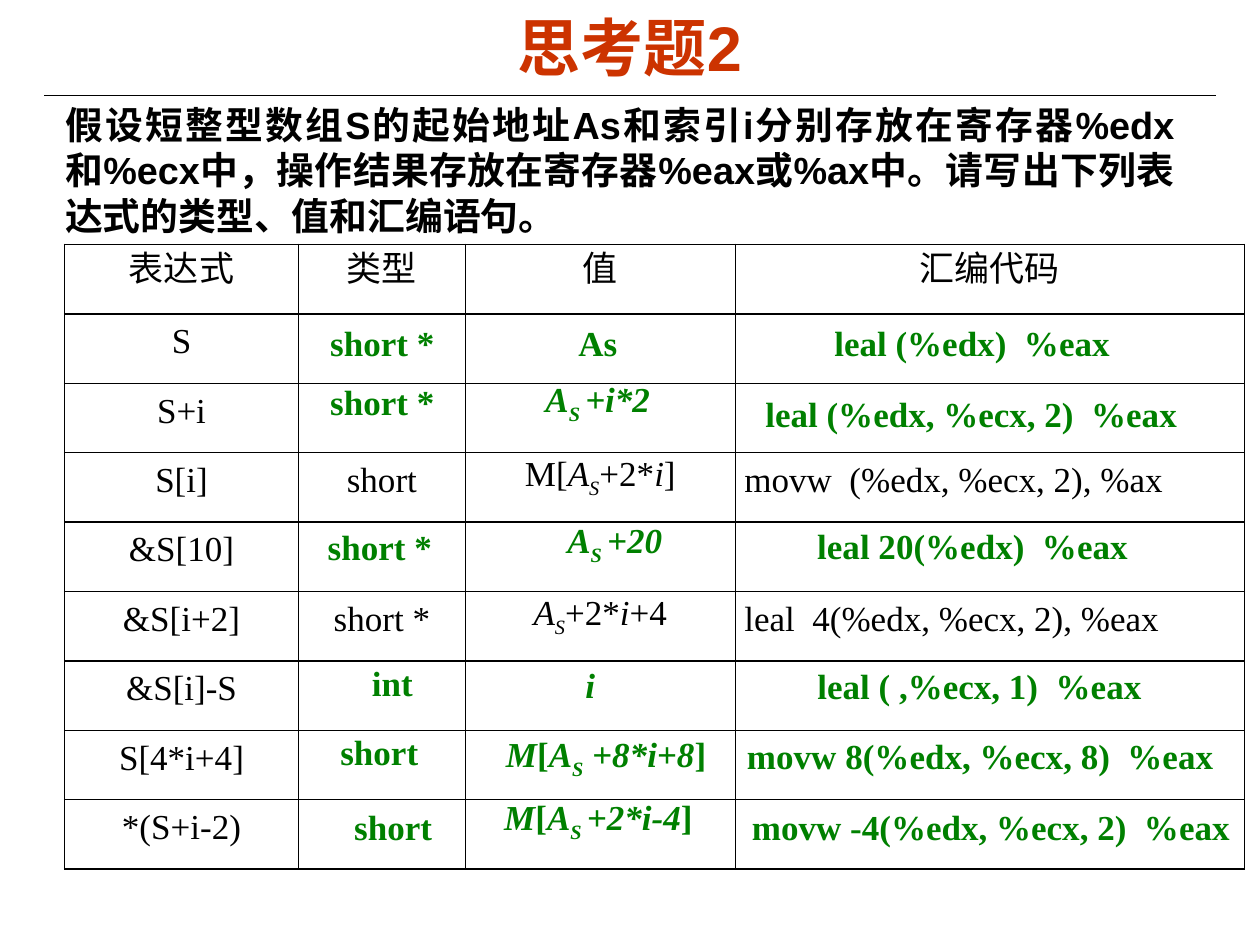
from lxml.etree import SubElement
from pptx import Presentation
from pptx.dml.color import RGBColor
from pptx.enum.shapes import MSO_CONNECTOR
from pptx.enum.text import MSO_ANCHOR, PP_ALIGN
from pptx.oxml.ns import qn
from pptx.util import Pt

INK = {"text": "000000", "title": "CC3300", "answer": "008000"}
ROMAN = "Times New Roman"


def write(frame, text, size=20, font=ROMAN, color="text", bold=False,
          align=PP_ALIGN.CENTER, pitch=15.6):
    para = frame.paragraphs[0]
    para.alignment = align
    if pitch:
        para.line_spacing = Pt(pitch)
    slant = False
    for n, part in enumerate(text.split("_")):
        low = n % 2 == 1
        for m, piece in enumerate(part.split("~")):
            if m:
                slant = not slant
            if not piece:
                continue
            run = para.add_run()
            run.text = piece
            run.font.size = Pt(size)
            run.font.name = font
            run.font.bold = bold
            run.font.italic = slant
            run.font.color.rgb = RGBColor.from_string(INK[color])
            if low:
                run.font._element.set("baseline", "-25000")


class Page:
    def __init__(self, slide):
        self.slide = slide

    def line(self, x1, y1, x2, y2, width=0.75):
        line = self.slide.shapes.add_connector(
            MSO_CONNECTOR.STRAIGHT, Pt(x1), Pt(y1), Pt(x2), Pt(y2))
        line.line.width = Pt(width)
        line.line.color.rgb = RGBColor.from_string(INK["text"])
        SubElement(line._element.spPr, qn("a:effectLst"))

    def text(self, x, y, w, h, text, wrap=True, anchor=MSO_ANCHOR.TOP, **form):
        frame = self.slide.shapes.add_textbox(Pt(x), Pt(y), Pt(w), Pt(h)).text_frame
        frame.word_wrap = wrap
        frame.vertical_anchor = anchor
        write(frame, text, **form)

    def border(self, cell):
        props = cell._tc.get_or_add_tcPr()
        for n, side in enumerate(("lnL", "lnR", "lnT", "lnB")):
            edge = props.makeelement(qn("a:" + side), {"w": str(Pt(1))})
            fill = SubElement(edge, qn("a:solidFill"))
            SubElement(fill, qn("a:srgbClr"), val=INK["text"])
            props.insert(n, edge)

    def table(self, x, y, cols, high, rows):
        table = self.slide.shapes.add_table(
            len(rows), len(cols), Pt(x), Pt(y), Pt(sum(cols)),
            Pt(high * len(rows))).table
        table.first_row = table.horz_banding = False
        for col, width in zip(table.columns, cols):
            col.width = Pt(width)
        for r, row in enumerate(rows):
            table.rows[r].height = Pt(high)
            for c in range(len(cols)):
                cell = table.cell(r, c)
                cell.fill.background()
                cell.margin_left = cell.margin_right = Pt(5.2)
                cell.margin_top, cell.margin_bottom = Pt(11.5), Pt(0)
                text = row[c] if c < len(row) else ""
                left = r and c == 3
                write(cell.text_frame, text,
                      align=PP_ALIGN.JUSTIFY if left else PP_ALIGN.CENTER)
                self.border(cell)


deck = Presentation()
deck.slide_width, deck.slide_height = Pt(720), Pt(540)
page = Page(deck.slides.add_slide(deck.slide_layouts[6]))

page.line(25.2, 54.7, 694.8, 54.7)
page.text(30.2, 74.9, 648, 43.9,
          "假设短整型数组S的起始地址As和索引i分别存放在寄存器%edx和%ecx中，"
          "操作结果存放在寄存器%eax或%ax中。请写出下列表达式的类型、值和汇编语句。",
          anchor=MSO_ANCHOR.MIDDLE, size=21.6, font="Arial", bold=True,
          align=PP_ALIGN.JUSTIFY, pitch=26)
page.table(36.9, 139.7, (133.7, 95.3, 154.3, 290.9), 39.68, (
    ("表达式", "类型", "值", "汇编代码"),
    ("S",),
    ("S+i",),
    ("S[i]", "short", "M[~A_S_~+2*~i~]", "movw  (%edx, %ecx, 2), %ax"),
    ("&S[10]",),
    ("&S[i+2]", "short *", "~A_S_~+2*~i~+4", "leal  4(%edx, %ecx, 2), %eax"),
    ("&S[i]-S",),
    ("S[4*i+4]",),
    ("*(S+i-2)",),
))
page.text(36, 4.3, 648, 43.9, "思考题2", anchor=MSO_ANCHOR.MIDDLE,
          size=36, font="Arial", color="title", bold=True, pitch=None)

answers = (
    (176.4, 188.6, 79.2, "\u00a0short *"),
    (323.3, 188.6, 36.7, "As"),
    (430.6, 188.6, 244.8, "\u00a0leal (%edx)  %eax"),
    (176.4, 222.5, 79.2, "\u00a0short *"),
    (300.2, 223.9, 82.8, "~A_S _+i*2~"),
    (416.9, 229, 271.4, "\u00a0leal (%edx, %ecx, 2)  %eax"),
    (175, 305.3, 79.2, "\u00a0short *"),
    (300.2, 304.6, 102.2, "~A_S _+20~"),
    (417.6, 304.6, 271.4, "\u00a0leal 20(%edx)  %eax"),
    (200.2, 383, 43.2, "\u00a0int"),
    (295.9, 383.8, 82.8, "~i~"),
    (434.9, 384.5, 244.8, "\u00a0leal ( ,%ecx, 1)  %eax"),
    (182.2, 422.6, 64.1, "\u00a0short"),
    (268.6, 427, 155.5, "~M~[~A_S_ +8*i+8~]"),
    (413.3, 424.8, 288.7, "\u00a0movw 8(%edx, %ecx, 8)  %eax"),
    (190.1, 465.1, 64.1, "\u00a0short"),
    (264.2, 463, 155.5, "~M~[~A_S _+2*i-4~]"),
    (413.3, 465.1, 301, "\u00a0movw -4(%edx, %ecx, 2)  %eax"),
)
for x, y, w, text in answers:
    page.text(x, y, w, 23.8, text, wrap=w > 80, color="answer", bold=True)

deck.save("out.pptx")
